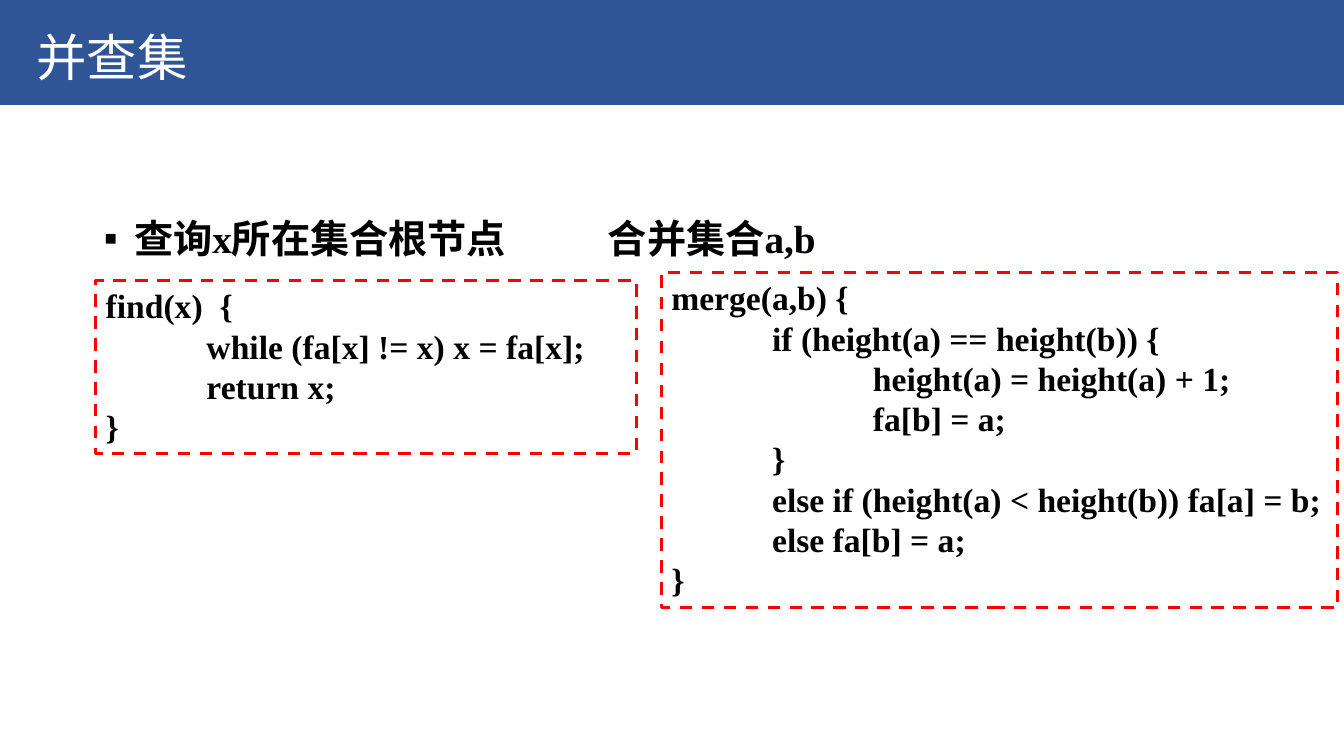
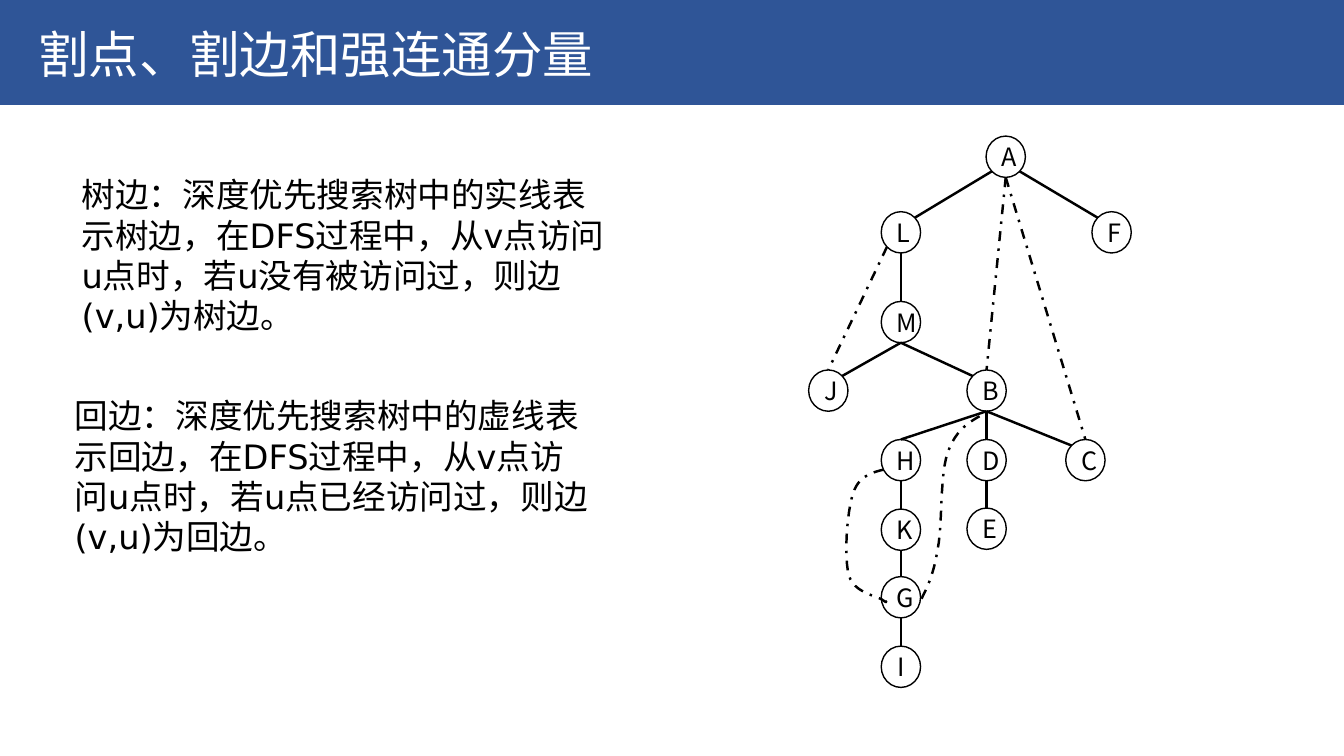
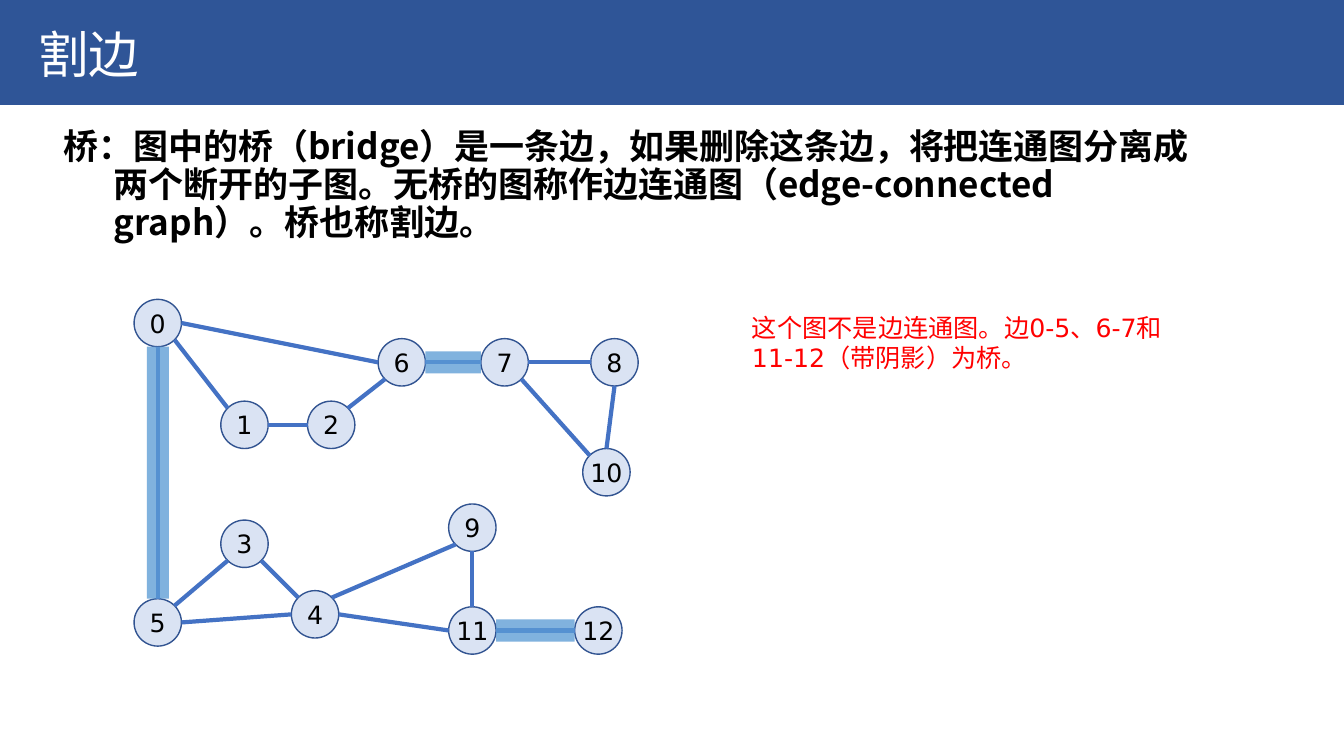
"""Build three slides on union-find, depth-first search trees and bridges."""
from dataclasses import dataclass

from lxml import etree
from pptx import Presentation
from pptx.dml.color import RGBColor
from pptx.enum import dml, shapes, text
from pptx.oxml import ns
from pptx.util import Inches, Pt


@dataclass(frozen=True)
class Theme:
    band: str = "2F5597"
    white: str = "FFFFFF"
    ink: str = "000000"
    alert: str = "FF0000"
    node: str = "DAE3F3"
    node_line: str = "325491"
    edge: str = "4472C4"
    bridge: str = "5B9BD5"
    bridge_alpha: int = 77
    sans: str = "DejaVu Sans"
    cjk: str = "Noto Sans CJK SC"
    serif: str = "Times New Roman"
    title_size: float = 36
    heading_size: float = 28
    definition_size: float = 25
    body_size: float = 24
    label_size: float = 18


THEME = Theme()
SLIDE_SIZE = (13.33, 7.5)
BAND_HEIGHT = 1.04
TAB_WIDTH = 1

UNION_HEADING = "查询x所在集合根节点\t\t合并集合a,b"
CODE_BOXES = [
    ((0.95, 2.78, 5.36, 1.72), [
        "find(x)  {",
        "\twhile (fa[x] != x) x = fa[x];",
        "\treturn x;",
        "}",
    ]),
    ((6.56, 2.7, 6.71, 3.33), [
        "merge(a,b) {",
        "\tif (height(a) == height(b)) {",
        "\t\theight(a) = height(a) + 1;",
        "\t\tfa[b] = a;",
        "\t}",
        "\telse if (height(a) < height(b)) fa[a] = b;",
        "\telse fa[b] = a;",
        "}",
    ]),
]

EDGE_KINDS = [
    ((0.71, 1.68, 5.39, 1.72),
     "树边：深度优先搜索树中的实线表示树边，在DFS过程中，从v点访问u点时，若u没有被访问过，则边(v,u)为树边。"),
    ((0.64, 3.87, 5.36, 1.72),
     "回边：深度优先搜索树中的虚线表示回边，在DFS过程中，从v点访问u点时，若u点已经访问过，则边(v,u)为回边。"),
]
TREE_NODE_SIZE = (0.39, 0.41)
TREE_NODES = {
    "A": (9.78, 1.35), "B": (9.59, 3.67), "L": (8.74, 2.1), "F": (10.83, 2.1),
    "M": (8.74, 2.99), "J": (8.02, 3.67), "C": (10.57, 4.36), "H": (8.74, 4.36),
    "K": (8.74, 5.05), "G": (8.74, 5.72), "I": (8.74, 6.41), "D": (9.59, 4.36),
    "E": (9.59, 5.04),
}
TREE_EDGES = [
    "A sw L ne", "A se F nw", "L s M n", "M s J ne", "M s B nw", "B s H n",
    "H s K n", "K s G n", "G s I n", "D s E n", "B s D n", "B s C nw",
]
BACK_EDGES = ["L sw J n", "A s B n", "A s C n"]
BACK_CURVES = [
    [(8.76, 4.66), (8.64, 4.69), (8.51, 4.73), (8.46, 4.9),
     (8.4, 5.08), (8.37, 5.53), (8.42, 5.71),
     (8.47, 5.88), (8.69, 5.91), (8.75, 5.95),
     (8.81, 5.99), (8.79, 5.97), (8.77, 5.95)],
    [(9.14, 5.94), (9.2, 5.82), (9.26, 5.7), (9.3, 5.45),
     (9.35, 5.21), (9.32, 4.71), (9.4, 4.49),
     (9.48, 4.26), (9.62, 4.18), (9.77, 4.1)],
]

BRIDGE_DEFINITION = ("桥：图中的桥（bridge）是一条边，如果删除这条边，将把连通图分离成两个断开的子图。"
                     "无桥的图称作边连通图（edge-connected graph）。桥也称割边。")
BRIDGE_REMARK = "这个图不是边连通图。边0-5、6-7和11-12（带阴影）为桥。"
GRAPH_NODE_SIZE = (0.47, 0.47)
GRAPH_NODES = {
    "0": (1.33, 2.97), "1": (2.19, 3.98), "2": (3.05, 3.98), "3": (2.19, 5.16),
    "4": (2.89, 5.86), "5": (1.33, 5.94), "6": (3.75, 3.36), "7": (4.77, 3.36),
    "8": (5.86, 3.36), "9": (4.45, 5), "10": (5.78, 4.45), "11": (4.45, 6.02),
    "12": (5.7, 6.02),
}
BRIDGES = ["0 s 5 n", "6 e 7 w", "11 e 12 w"]
GRAPH_EDGES = BRIDGES + [
    "0 se 1 nw", "1 e 2 w", "2 ne 6 sw", "7 e 8 w", "7 se 10 nw", "8 s 10 n",
    "5 ne 3 sw", "3 se 4 nw", "4 ne 9 sw", "9 s 11 n", "11 w 4 e", "5 e 4 w",
    "0 e 6 w",
]


def rgb(color):
    return RGBColor.from_string(color)


def inches(values):
    return [Inches(value) for value in values]


def place(shape, box):
    shape.left, shape.top, shape.width, shape.height = inches(box)


def write(shape, lines, face, size, color=THEME.ink, bold=False,
          anchor=text.MSO_ANCHOR.TOP, align=text.PP_ALIGN.LEFT):
    frame = shape.text_frame
    frame.text = "\n".join(lines)
    frame.word_wrap = True
    frame.auto_size = text.MSO_AUTO_SIZE.NONE
    frame.vertical_anchor = anchor
    for para in frame.paragraphs:
        para.alignment = align
        para.font.name = face
        para.font.size = Pt(size)
        para.font.bold = bold
        para.font.color.rgb = rgb(color)
        para._p.get_or_add_pPr().set("defTabSz", str(Inches(TAB_WIDTH)))
    return frame


def set_list(para, hang=0, bullet=None, spacing=1.0, before=0):
    para.line_spacing = spacing
    para.space_before = Pt(before)
    props = para._p.get_or_add_pPr()
    props.set("marL", str(Inches(hang)))
    props.set("indent", str(-Inches(hang)))
    mark = etree.Element(ns.qn("a:buChar" if bullet else "a:buNone"))
    if bullet:
        mark.set("char", bullet)
    props.find(ns.qn("a:defRPr")).addprevious(mark)


def stroke(shape, color, width, dash=None):
    shape.line.color.rgb = rgb(color)
    shape.line.width = Pt(width)
    if dash:
        shape.line.dash_style = dash


def add_page(deck, layout, title, left=0.28, top=0.18):
    page = deck.slides.add_slide(deck.slide_layouts.get_by_name(layout))
    band = page.shapes.add_shape(shapes.MSO_SHAPE.RECTANGLE, 0, 0,
                                 deck.slide_width, Inches(BAND_HEIGHT))
    band.shadow.inherit = False
    band.fill.solid()
    band.fill.fore_color.rgb = rgb(THEME.band)
    band.line.fill.background()
    page.shapes._spTree.insert(2, band._element)
    place(page.shapes.title, (left, top, 13.05, 0.71))
    write(page.shapes.title, [title], THEME.cjk, THEME.title_size, THEME.white)
    return page


def add_nodes(page, nodes, size, fill, line, face, inset):
    for name, corner in nodes.items():
        node = page.shapes.add_shape(shapes.MSO_SHAPE.OVAL, *inches(corner + size))
        node.shadow.inherit = False
        node.fill.solid()
        node.fill.fore_color.rgb = rgb(fill)
        stroke(node, line, 1)
        frame = write(node, [name], face, THEME.label_size,
                      anchor=text.MSO_ANCHOR.MIDDLE, align=text.PP_ALIGN.CENTER)
        if not inset:
            frame.margin_left = frame.margin_right = 0
            frame.margin_top = frame.margin_bottom = 0
            frame.word_wrap = False


def port(corner, size, side):
    """Return the point of an ellipse that faces a compass side."""
    across = ("e" in side) - ("w" in side)
    down = ("s" in side) - ("n" in side)
    reach = 0.5 / (across ** 2 + down ** 2) ** 0.5
    return (corner[0] + size[0] * (0.5 + across * reach),
            corner[1] + size[1] * (0.5 + down * reach))


def add_edges(page, edges, nodes, size, color, width, dash=None, alpha=None):
    for edge in edges:
        start, start_side, end, end_side = edge.split()
        points = port(nodes[start], size, start_side) + port(nodes[end], size, end_side)
        line = page.shapes.add_connector(shapes.MSO_CONNECTOR.STRAIGHT, *inches(points))
        stroke(line, color, width, dash)
        props = line._element.spPr
        etree.SubElement(props, ns.qn("a:effectLst"))
        if alpha:
            tint = props.find(".//" + ns.qn("a:srgbClr"))
            etree.SubElement(tint, ns.qn("a:alpha")).set("val", str(alpha * 1000))


def add_curve(page, points, color, width, dash, steps=12):
    trail = []
    for first in range(0, len(points) - 1, 3):
        controls = points[first:first + 4]
        for step in range(1, steps + 1):
            t = step / steps
            weights = ((1 - t) ** 3, 3 * t * (1 - t) ** 2, 3 * t * t * (1 - t), t ** 3)
            trail.append(inches(sum(weight * point[axis]
                                    for weight, point in zip(weights, controls))
                                for axis in (0, 1)))
    builder = page.shapes.build_freeform(*inches(points[0]))
    builder.add_line_segments(trail, close=False)
    curve = builder.convert_to_shape()
    curve.shadow.inherit = False
    curve.fill.background()
    stroke(curve, color, width, dash)


def build_union_find(deck):
    page = add_page(deck, "Title and Content", "并查集", left=0.26, top=0.21)
    body = page.placeholders[1]
    place(body, (0.93, 1.98, 10.51, 4.67))
    frame = write(body, [UNION_HEADING], THEME.serif, THEME.heading_size, bold=True)
    set_list(frame.paragraphs[0], hang=0.3, bullet="▪", spacing=1.2, before=14.4)
    for box, code in CODE_BOXES:
        listing = page.shapes.add_textbox(*inches(box))
        write(listing, code, THEME.serif, THEME.body_size, bold=True)
        stroke(listing, THEME.alert, 2.25, dml.MSO_LINE.DASH)


def build_search_tree(deck):
    page = add_page(deck, "Two Content", "割点、割边和强连通分量")
    for index, (box, meaning) in enumerate(EDGE_KINDS, start=1):
        body = page.placeholders[index]
        place(body, box)
        frame = write(body, [meaning], THEME.sans, THEME.body_size)
        set_list(frame.paragraphs[0])
    add_nodes(page, TREE_NODES, TREE_NODE_SIZE, THEME.white, THEME.ink, THEME.cjk, inset=True)
    add_edges(page, TREE_EDGES, TREE_NODES, TREE_NODE_SIZE, THEME.ink, 1.75)
    dash = dml.MSO_LINE.DASH_DOT
    add_edges(page, BACK_EDGES, TREE_NODES, TREE_NODE_SIZE, THEME.ink, 1.75, dash)
    for points in BACK_CURVES:
        add_curve(page, points, THEME.ink, 1.75, dash)


def build_bridges(deck):
    page = add_page(deck, "Title and Content", "割边")
    body = page.placeholders[1]
    place(body, (0.53, 1.05, 11.43, 1.41))
    frame = write(body, [BRIDGE_DEFINITION], THEME.cjk, THEME.definition_size,
                  bold=True, anchor=text.MSO_ANCHOR.BOTTOM)
    set_list(frame.paragraphs[0], hang=0.5, spacing=0.9)
    add_nodes(page, GRAPH_NODES, GRAPH_NODE_SIZE, THEME.node, THEME.node_line,
              THEME.sans, inset=False)
    add_edges(page, GRAPH_EDGES, GRAPH_NODES, GRAPH_NODE_SIZE, THEME.edge, 3)
    add_edges(page, BRIDGES, GRAPH_NODES, GRAPH_NODE_SIZE, THEME.bridge, 15.75,
              alpha=THEME.bridge_alpha)
    remark = page.shapes.add_textbox(*inches((7.36, 3.05, 4.45, 0.71)))
    write(remark, [BRIDGE_REMARK], THEME.sans, THEME.label_size, THEME.alert)


def main():
    deck = Presentation()
    deck.slide_width, deck.slide_height = inches(SLIDE_SIZE)
    build_union_find(deck)
    build_search_tree(deck)
    build_bridges(deck)
    deck.save("out.pptx")


if __name__ == "__main__":
    main()
